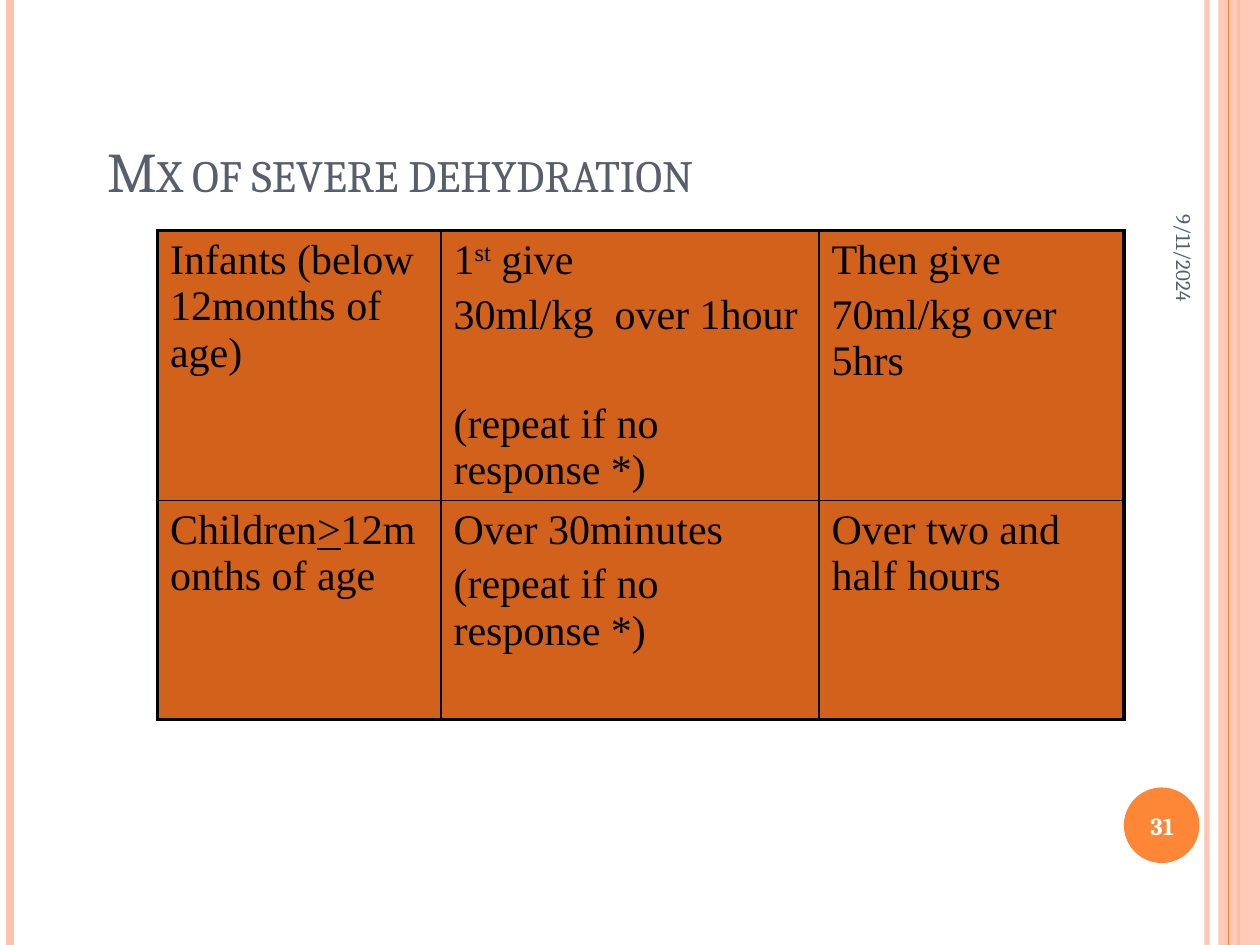
import lxml.etree
import pptx
import pptx.dml.color
import pptx.enum.shapes
import pptx.enum.text
import pptx.oxml
import pptx.oxml.ns
import pptx.util

Inches = pptx.util.Inches
Pt = pptx.util.Pt
ALIGN = pptx.enum.text.PP_ALIGN
ANCHOR = pptx.enum.text.MSO_ANCHOR
SHAPE = pptx.enum.shapes.MSO_SHAPE
qn = pptx.oxml.ns.qn

COLORS = {"orange": "FE8637", "peach": "FEC3AE", "slate": "575F6D",
          "rust": "D2611C", "black": "000000", "white": "FFFFFF"}
ROWS = [
    [[["Infants (below 12months of age)"]],
     [["1", ("st", "super"), " give"], ["30ml/kg  over 1hour"],
      ["(repeat if no response *)"]],
     [["Then give"], ["70ml/kg over 5hrs"]]],
    [[["Children", (">", "under"), "12months of age"]],
     [["Over 30minutes"], ["(repeat if no response *)"]],
     [["Over two and half hours"]]],
]


class SlideBuilder:
    """Hold the style and the current slide, and add elements to it."""

    def __init__(self, prs):
        self.heading_font = "Cambria"
        self.table_font = "Times New Roman"
        self.s = prs.slides.add_slide(prs.slide_layouts[5])

    def color(self, name):
        return pptx.dml.color.RGBColor.from_string(COLORS[name])

    def format(self, p, font, size, color, bold=False):
        p.font.name = font
        p.font.size = Pt(size)
        p.font.bold = bold
        p.font.color.rgb = self.color(color)

    def alpha(self, fill, percent):
        clr = fill._xPr.find(".//" + qn("a:srgbClr"))
        lxml.etree.SubElement(clr, qn("a:alpha")).set("val", str(percent * 1000))

    def title(self, text, x, y, w, h):
        sp = self.s.shapes.title
        sp.left, sp.top, sp.width, sp.height = map(Inches, (x, y, w, h))
        tf = sp.text_frame
        tf.auto_size = pptx.enum.text.MSO_AUTO_SIZE.NONE
        tf.vertical_anchor = ANCHOR.BOTTOM
        p = tf.paragraphs[0]
        p.alignment = ALIGN.LEFT
        r = p.add_run()
        r.text = text
        r._r.get_or_add_rPr().set("cap", "small")
        self.format(p, self.heading_font, 32, "slate")

    def rule(self, x, width, color, alpha=None):
        cx = self.s.shapes.add_connector(
            pptx.enum.shapes.MSO_CONNECTOR.STRAIGHT,
            Inches(x), 0, Inches(x), Inches(7.5))
        cx.line.width = Pt(width)
        cx.line.color.rgb = self.color(color)
        if alpha:
            self.alpha(cx.line.fill, alpha)
        lxml.etree.SubElement(cx._element.spPr, qn("a:effectLst"))

    def shape(self, kind, x, y, w, h, color, alpha=None):
        sp = self.s.shapes.add_shape(kind, *map(Inches, (x, y, w, h)))
        sp.shadow.inherit = False
        sp.fill.solid()
        sp.fill.fore_color.rgb = self.color(color)
        if alpha:
            self.alpha(sp.fill, alpha)
        sp.line.fill.background()

    def text(self, text, x, y, w, h, size, color, align, bold=False, rotation=0):
        sp = self.s.shapes.add_textbox(*map(Inches, (x, y, w, h)))
        sp.rotation = rotation
        tf = sp.text_frame
        tf.word_wrap = True
        tf.vertical_anchor = ANCHOR.MIDDLE
        p = tf.paragraphs[0]
        p.text = text
        p.alignment = align
        self.format(p, self.heading_font, size, color, bold)

    def borders(self, cell, widths):
        tcPr = cell._tc.get_or_add_tcPr()
        for i, (side, width) in enumerate(zip("LRTB", widths)):
            tcPr.insert(i, pptx.oxml.parse_xml(
                f'<a:ln{side} {pptx.oxml.ns.nsdecls("a")} w="{Pt(width)}">'
                f'<a:solidFill><a:srgbClr val="{COLORS["black"]}"/></a:solidFill>'
                f'</a:ln{side}>'))

    def cell(self, cell, paragraphs):
        cell.fill.solid()
        cell.fill.fore_color.rgb = self.color("rust")
        tf = cell.text_frame
        for i, runs in enumerate(paragraphs):
            p = tf.add_paragraph() if i else tf.paragraphs[0]
            if i:
                p.space_before = Pt(36 if i == 2 else 4.8)
            for run in runs:
                text, style = (run, None) if isinstance(run, str) else run
                r = p.add_run()
                r.text = text
                if style == "super":
                    r._r.get_or_add_rPr().set("baseline", "30000")
                elif style == "under":
                    r.font.underline = True
            self.format(p, self.table_font, 24, "black")

    def table(self, rows, x, y, widths, heights):
        table = self.s.shapes.add_table(
            len(heights), len(widths), Inches(x), Inches(y),
            Inches(sum(widths)), Inches(sum(heights))).table
        table.first_row = table.horz_banding = False
        for column, width in zip(table.columns, widths):
            column.width = Inches(width)
        for row, height in zip(table.rows, heights):
            row.height = Inches(height)
        for i, row in enumerate(rows):
            for j, paragraphs in enumerate(row):
                outer = (j == 0, j == len(widths) - 1,
                         i == 0, i == len(heights) - 1)
                cell = table.cell(i, j)
                self.cell(cell, paragraphs)
                self.borders(cell, [2.25 if edge else 1 for edge in outer])


def main():
    prs = pptx.Presentation()
    prs.slide_width, prs.slide_height = Inches(10), Inches(7.5)
    b = SlideBuilder(prs)
    b.rule(9.58, 3, "peach", 93)
    b.rule(0.08, 4.5, "peach")
    b.rule(9.83, 1.5, "orange")
    b.shape(SHAPE.RECTANGLE, 9.67, 0, 0.33, 7.5, "peach", 87)
    b.rule(9.75, 0.75, "orange")
    b.shape(SHAPE.OVAL, 8.92, 6.25, 0.6, 0.6, "orange")
    b.title("Mx of severe dehydration", 0.75, 0.92, 8.5, 0.75)
    b.table(ROWS, 1.25, 1.83, [2.25, 3, 2.42], [2.14, 1.74])
    b.text("9/11/2024", 8.3, 1.18, 2.2, 0.42, 12, "slate", ALIGN.RIGHT, rotation=90)
    b.text("31", 8.89, 6.27, 0.67, 0.57, 14, "white", ALIGN.CENTER, bold=True)
    prs.save("out.pptx")


if __name__ == "__main__":
    main()
